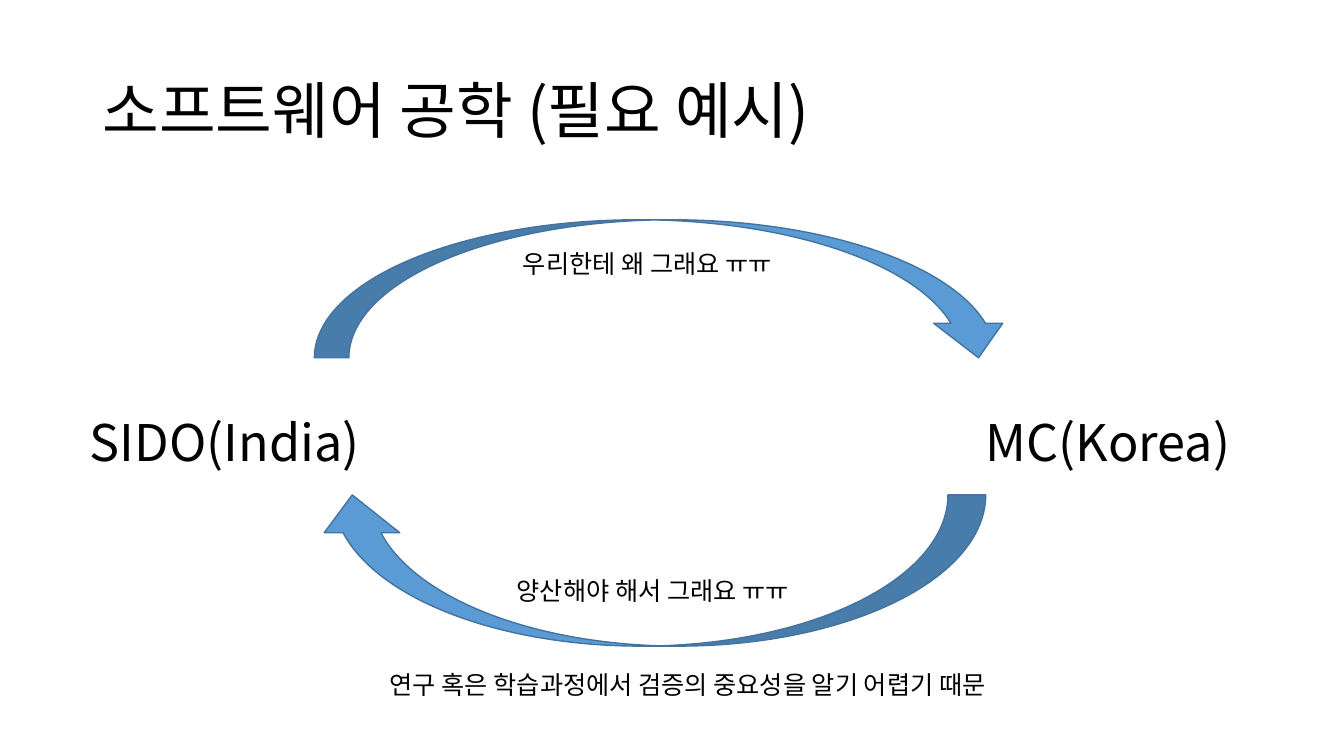
from lxml import etree
from pptx import Presentation
from pptx import util as u
from pptx.dml import color
from pptx.enum import shapes, text
from pptx.oxml import ns

FONT = "Noto Sans CJK KR"
BLACK = "000000"
ARROW_FILL = "5B9BD5"
ARROW_EDGE = "43739E"


def paint(target, hex_colour):
    target.rgb = color.RGBColor.from_string(hex_colour)


def points(*lengths):
    return [u.Pt(length) for length in lengths]


def write(frame, wording, size, align):
    frame.text = wording
    paragraph = frame.paragraphs[0]
    paragraph.alignment = align
    for run in paragraph.runs:
        run.font.size = u.Pt(size)
        run.font.name = FONT
        paint(run.font.color, BLACK)
        east_asian = etree.SubElement(run.font._element, ns.qn("a:ea"))
        east_asian.set("typeface", FONT)
    return paragraph


def place_title(slide, wording, box):
    title = slide.shapes.title
    title.left, title.top, title.width, title.height = points(*box)
    frame = title.text_frame
    frame.word_wrap = True
    frame.auto_size = text.MSO_AUTO_SIZE.NONE
    frame.vertical_anchor = text.MSO_ANCHOR.MIDDLE
    heading = write(frame, wording, 44, text.PP_ALIGN.LEFT)
    heading.line_spacing = 0.9


def add_label(slide, wording, box, size=18, align=text.PP_ALIGN.LEFT):
    frame = slide.shapes.add_textbox(*points(*box)).text_frame
    frame.word_wrap = True
    frame.auto_size = text.MSO_AUTO_SIZE.SHAPE_TO_FIT_TEXT
    write(frame, wording, size, align)


def add_cycle_arrow(slide, box, rotation=0):
    arrow = slide.shapes.add_shape(
        shapes.MSO_SHAPE.CURVED_DOWN_ARROW, *points(*box))
    arrow.rotation = rotation
    arrow.shadow.inherit = False
    arrow.fill.solid()
    paint(arrow.fill.fore_color, ARROW_FILL)
    paint(arrow.line.color, ARROW_EDGE)
    arrow.line.width = u.Pt(1)


def main():
    deck = Presentation()
    deck.slide_width, deck.slide_height = points(960, 540)
    slide = deck.slides.add_slide(deck.slide_layouts.get_by_name("Title Only"))

    place_title(slide, "소프트웨어 공학 (필요 예시)", (66, 28.75, 828, 104.4))
    add_label(slide, "SIDO(India)", (57, 290, 254, 51), size=36)
    add_label(slide, "MC(Korea)", (697, 290, 197, 51), size=36)

    add_cycle_arrow(slide, (224.6, 157, 499, 98.6))
    add_label(slide, "우리한테 왜 그래요 ㅠㅠ", (366.5, 173.5, 224, 29))
    add_cycle_arrow(slide, (224.6, 353.5, 479.5, 108), rotation=180)
    add_label(slide, "양산해야 해서 그래요 ㅠㅠ", (362, 407.5, 263, 29))

    add_label(slide, "연구 혹은 학습과정에서 검증의 중요성을 알기 어렵기 때문",
              (45.4, 474.5, 891.4, 29), align=text.PP_ALIGN.CENTER)
    deck.save("out.pptx")


if __name__ == "__main__":
    main()
